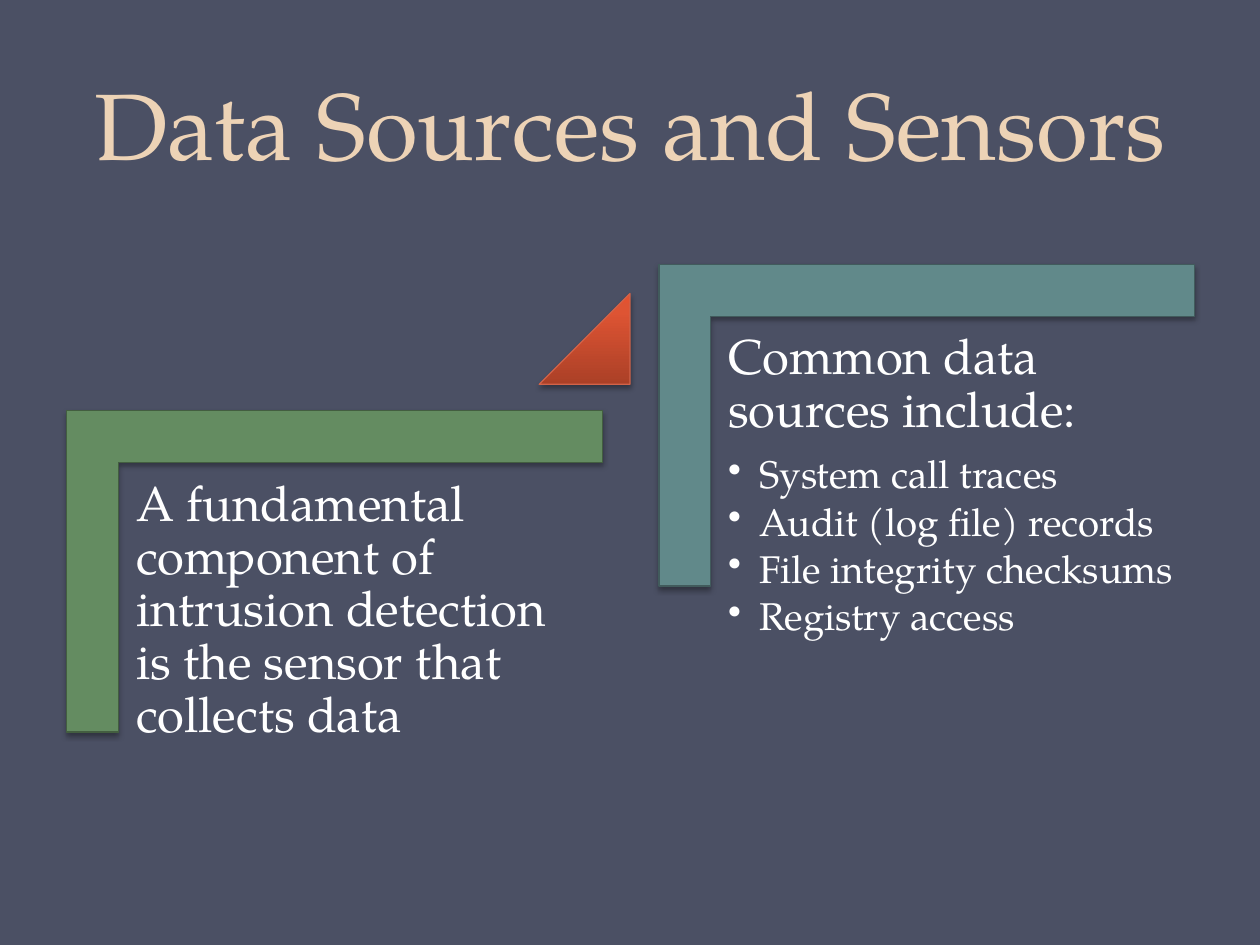
from copy import deepcopy

from lxml import etree
from pptx import Presentation
from pptx.dml.color import RGBColor
from pptx.enum.shapes import MSO_SHAPE
from pptx.enum.text import MSO_ANCHOR, PP_ALIGN
from pptx.oxml import parse_xml
from pptx.oxml.ns import nsdecls, qn
from pptx.util import Inches, Pt

CORNER = MSO_SHAPE.CORNER
TRIANGLE = MSO_SHAPE.ISOSCELES_TRIANGLE
TOP, BOTTOM = MSO_ANCHOR.TOP, MSO_ANCHOR.BOTTOM
LEFT, CENTER = PP_ALIGN.LEFT, PP_ALIGN.CENTER

BACKGROUND = RGBColor(0x4B, 0x50, 0x64)
CREAM = RGBColor(0xED, 0xD3, 0xB6)
WHITE = RGBColor(0xFF, 0xFF, 0xFF)
GREEN = RGBColor(0x64, 0x8C, 0x61)
DARK_GREEN = RGBColor(0x43, 0x5E, 0x40)
TEAL = RGBColor(0x61, 0x89, 0x8A)
DARK_TEAL = RGBColor(0x41, 0x5B, 0x5C)
RUST = RGBColor(0xD1, 0x63, 0x49)
RUST_STOPS = [
    (0, RGBColor(0xAB, 0x40, 0x27)),
    (0.8, RGBColor(0xDE, 0x54, 0x33)),
    (1, RGBColor(0xE3, 0x52, 0x30)),
]

FONT = "TeX Gyre Pagella"
COLUMNS, ROWS = 100, 75  # grid cells of a tenth of an inch

SHADOW = f"""<a:effectLst {nsdecls('a')}>
  <a:outerShdw blurRad="{Pt(3.1)}" dist="{Pt(1.8)}" dir="5400000" rotWithShape="0">
    <a:srgbClr val="000000"><a:alpha val="35000"/></a:srgbClr>
  </a:outerShdw>
</a:effectLst>"""


def write(paragraph, text, size=28, color=WHITE, align=LEFT, spacing=0.9,
          after=0.0, bullet=False):
    """Write one formatted paragraph; after is a share of the text size."""
    if bullet:
        properties = paragraph._p.get_or_add_pPr()
        properties.set("marL", str(Inches(0.25)))
        properties.set("indent", str(-Inches(0.25)))
        etree.SubElement(properties, qn("a:buChar")).set("char", "•")
    paragraph.alignment = align
    paragraph.line_spacing = spacing
    paragraph.space_after = Pt(size * after)
    run = paragraph.add_run()
    run.text = text
    run.font.name = FONT
    run.font.size = Pt(size)
    run.font.color.rgb = color


class SlideBuilder:
    """Holds the current slide and draws on its grid."""

    def __init__(self, presentation):
        self.column = presentation.slide_width / COLUMNS
        self.row = presentation.slide_height / ROWS
        self.slide = presentation.slides.add_slide(presentation.slide_layouts[6])
        self.slide.background.fill.solid()
        self.slide.background.fill.fore_color.rgb = BACKGROUND

    def place(self, left, top, width, height):
        return (round(left * self.column), round(top * self.row),
                round(width * self.column), round(height * self.row))

    def text(self, box, paragraphs, anchor=TOP, insets=(1.2, 1.2)):
        frame = self.slide.shapes.add_textbox(*self.place(*box)).text_frame
        frame.word_wrap = True
        frame.vertical_anchor = anchor
        frame.margin_left = frame.margin_right = round(insets[0] * self.column)
        frame.margin_top = frame.margin_bottom = round(insets[1] * self.row)
        for index, (text, style) in enumerate(paragraphs):
            paragraph = frame.add_paragraph() if index else frame.paragraphs[0]
            write(paragraph, text, **style)

    def shape(self, kind, box, adjustments, line):
        shape = self.slide.shapes.add_shape(kind, *self.place(*box))
        for index, value in enumerate(adjustments):
            shape.adjustments[index] = value
        shape.line.color.rgb = line
        shape.line.width = Pt(0.75)
        return shape

    def cast_shadow(self, shape):
        shape.shadow.inherit = False
        properties = shape._element.spPr
        properties.replace(properties.find(qn("a:effectLst")), parse_xml(SHADOW))

    def step(self, left, top, fill, line, paragraphs):
        """Draw a corner bracket with its text inside."""
        width, height = 42.5, 25.5
        # The bracket is an L turned by 90 degrees about its centre
        turn = (width - height) / 2
        bracket = self.shape(CORNER, (left + turn, top - turn, height, width),
                             (0.161, 0.161), line)
        bracket.rotation = 90
        bracket.fill.solid()
        bracket.fill.fore_color.rgb = fill
        self.cast_shadow(bracket)
        self.text((left + 4.3, top + 4.2, 38.4, 33.6), paragraphs)

    def rise(self, left, top, size, stops, line):
        """Draw the right triangle that marks the step up."""
        triangle = self.shape(TRIANGLE, (left, top, size, size), (1,), line)
        triangle.fill.gradient()
        triangle.fill.gradient_angle = 90
        stop_list = triangle._element.spPr.find(qn("a:gradFill")).find(qn("a:gsLst"))
        stop_list.append(deepcopy(stop_list[-1]))
        for stop, (position, color) in zip(triangle.fill.gradient_stops, stops):
            stop.position = position
            stop.color.rgb = color
        self.cast_shadow(triangle)


def main():
    presentation = Presentation()
    presentation.slide_width = Inches(10)
    presentation.slide_height = Inches(7.5)
    builder = SlideBuilder(presentation)

    # Title
    title = dict(size=54, color=CREAM, align=CENTER, spacing=Pt(58))
    builder.text((5, 0, 90, 14.7), [("Data Sources and Sensors", title)],
                 anchor=BOTTOM, insets=(1, 0.5))

    # Two steps, the second one higher
    heading = dict(after=0.35)
    item = dict(size=22, after=0.15, bullet=True)
    sources = ["System call traces", "Audit (log file) records",
               "File integrity checksums", "Registry access"]
    builder.step(5.3, 32.6, GREEN, DARK_GREEN, [
        ("A fundamental component of intrusion detection is the sensor that "
         "collects data", heading)])
    builder.rise(42.8, 23.3, 7.2, RUST_STOPS, RUST)
    builder.step(52.3, 21, TEAL, DARK_TEAL,
                 [("Common data sources include:", heading)]
                 + [(source, item) for source in sources])

    presentation.save("out.pptx")


if __name__ == "__main__":
    main()
